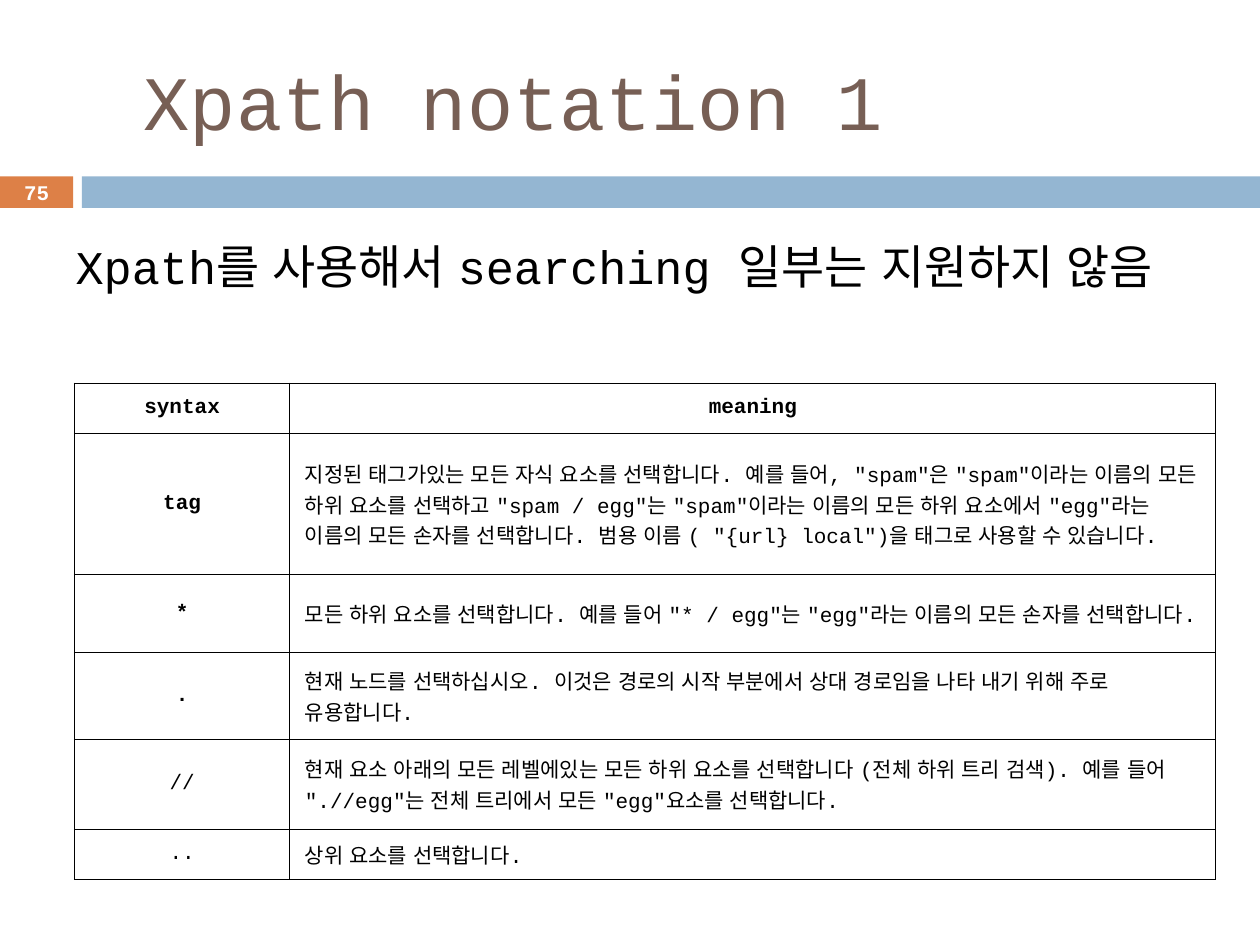
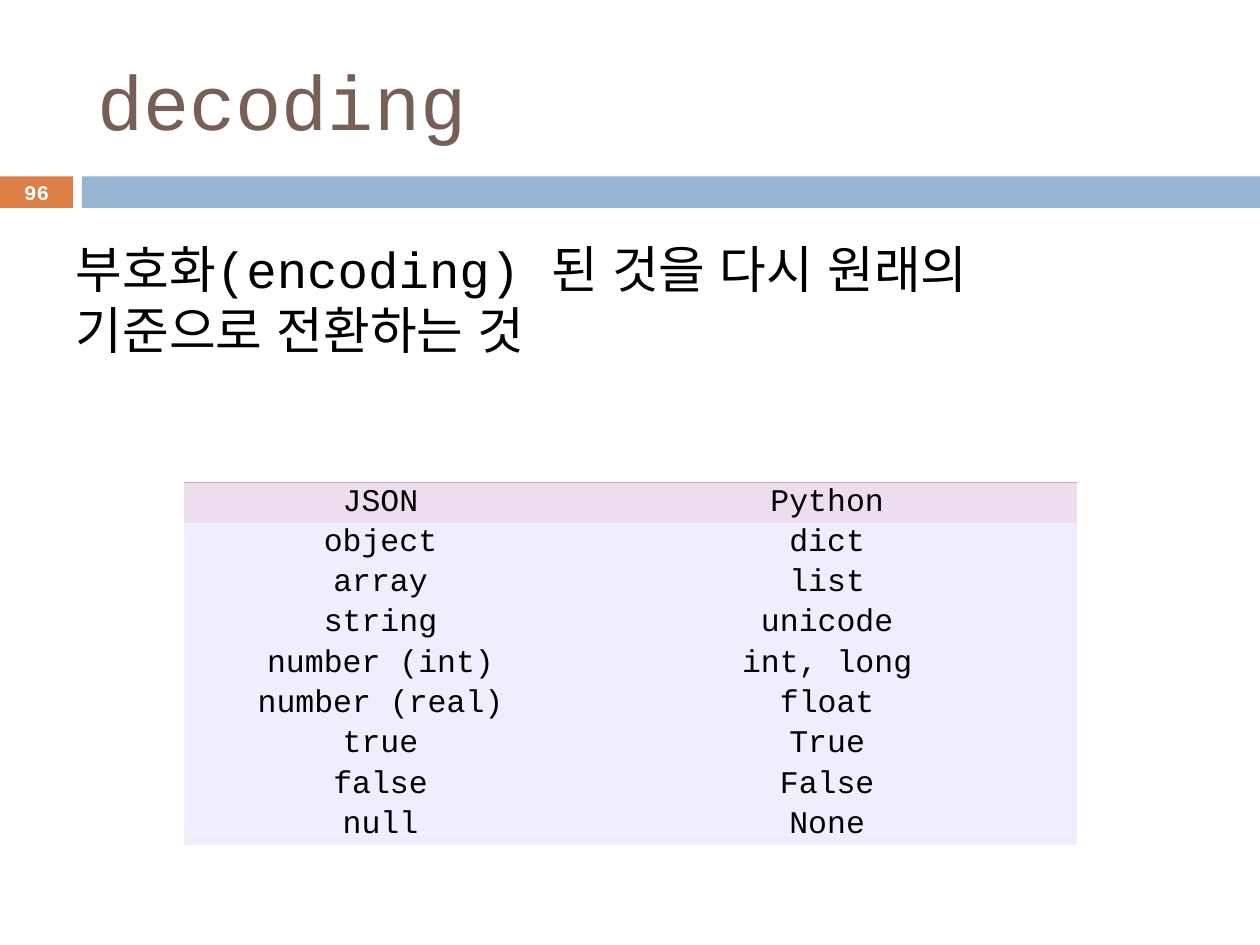
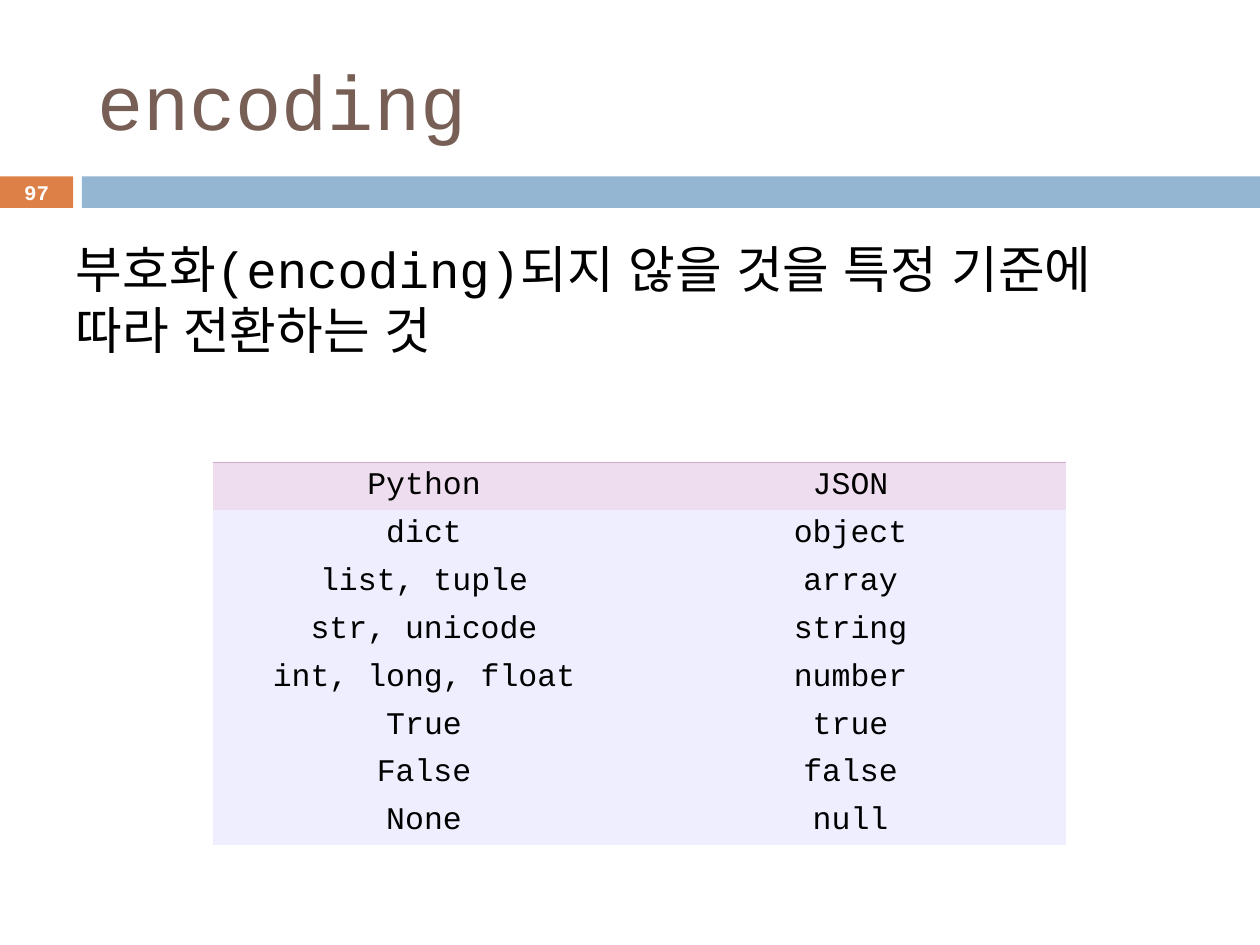
"""Build three slides on XPath syntax and JSON conversion."""
import pptx
import pptx.dml.color
import pptx.enum.lang
import pptx.enum.shapes
import pptx.enum.text
import pptx.oxml.ns
import pptx.util
from lxml import etree

Inches = pptx.util.Inches
Pt = pptx.util.Pt
RGBColor = pptx.dml.color.RGBColor
ALIGN = pptx.enum.text.PP_ALIGN
MIDDLE = pptx.enum.text.MSO_ANCHOR.MIDDLE

BROWN = RGBColor(0x77, 0x5F, 0x55)
ORANGE = RGBColor(0xDD, 0x80, 0x47)
BLUE = RGBColor(0x94, 0xB6, 0xD2)
BLACK = RGBColor(0, 0, 0)
WHITE = RGBColor(255, 255, 255)
PINK = RGBColor(0xEE, 0xDD, 0xEE)
MAUVE = RGBColor(0xCC, 0xAA, 0xCC)
LILAC = RGBColor(0xEE, 0xEE, 0xFF)
FONT = "Courier New"
PLAIN = "{2D5ABB26-0587-4C30-8999-92F81FD0307C}"
WIDE, HIGH = 10, 7.5
CHAR = 0.37
BANDS = [(0, 0.58, ORANGE), (0.65, WIDE - 0.65, BLUE)]

SYNTAX = [
    ("syntax", "meaning"),
    ("tag", '지정된 태그가있는 모든 자식 요소를 선택합니다. 예를 들어, "spam"은 "spam"이라는 이름의 '
            '모든 하위 요소를 선택하고 "spam / egg"는 "spam"이라는 이름의 모든 하위 요소에서 '
            '"egg"라는 이름의 모든 손자를 선택합니다. 범용 이름 ( "{url} local")을 태그로 사용할 수 있습니다.'),
    ("*", '모든 하위 요소를 선택합니다. 예를 들어 "* / egg"는 "egg"라는 이름의 모든 손자를 선택합니다.'),
    (".", "현재 노드를 선택하십시오. 이것은 경로의 시작 부분에서 상대 경로임을 나타 내기 위해 주로 유용합니다."),
    ("//", '현재 요소 아래의 모든 레벨에있는 모든 하위 요소를 선택합니다 (전체 하위 트리 검색). '
           '예를 들어 ".//egg"는 전체 트리에서 모든 "egg"요소를 선택합니다.'),
    ("..", "상위 요소를 선택합니다."),
]
DECODE = [
    ("JSON", "Python"), ("object", "dict"), ("array", "list"),
    ("string", "unicode"), ("number (int)", "int, long"),
    ("number (real)", "float"), ("true", "True"), ("false", "False"),
    ("null", "None"),
]
ENCODE = [
    ("Python", "JSON"), ("dict", "object"), ("list, tuple", "array"),
    ("str, unicode", "string"), ("int, long, float", "number"),
    ("True", "true"), ("False", "false"), ("None", "null"),
]
SLIDES = [
    dict(title="Xpath notation 1", inset=CHAR, page=75, size=26.8, tall=1.5,
         body="Xpath를 사용해서 searching 일부는 지원하지 않음",
         rows=SYNTAX, spot=(0.59, 3.04), cols=(1.71, 7.35),
         highs=(0.4, 1.12, 0.62, 0.69, 0.71, 0.4), grid=True),
    dict(title="decoding", inset=0, page=96, size=29, tall=1.57,
         body="부호화(encoding) 된 것을 다시 원래의 기준으로 전환하는 것",
         rows=DECODE, spot=(1.46, 3.83), cols=(3.12, 3.97),
         highs=(0.32,) * len(DECODE), grid=False),
    dict(title="encoding", inset=0, page=97, size=29, tall=1.57,
         body="부호화(encoding)되지 않을 것을 특정 기준에 따라 전환하는 것",
         rows=ENCODE, spot=(1.69, 3.67), cols=(3.35, 3.42),
         highs=(0.38,) * len(ENCODE), grid=False),
]


def place(shape, left, top, width, height):
    shape.left, shape.top = Inches(left), Inches(top)
    shape.width, shape.height = Inches(width), Inches(height)


def write(frame, text, size, color, align=ALIGN.LEFT, bold=False, inset=0):
    frame.text = text
    para = frame.paragraphs[0]
    props = para._p.get_or_add_pPr()
    props.set("marL", str(Inches(inset)))
    props.set("indent", "0")
    etree.SubElement(props, pptx.oxml.ns.qn("a:buNone"))
    para.alignment = align
    para.line_spacing = 1.0
    para.space_before = Pt(0)
    for run in para.runs:
        font = run.font
        font.name, font.size, font.bold = FONT, Pt(size), bold
        font.color.rgb = color
        font.language_id = pptx.enum.lang.MSO_LANGUAGE_ID.KOREAN


def edge(cell, sides, color):
    props = cell._tc.get_or_add_tcPr()
    for at, side in enumerate(sides):
        line = etree.Element(pptx.oxml.ns.qn("a:ln" + side), w=str(Pt(0.6)))
        fill = etree.SubElement(line, pptx.oxml.ns.qn("a:solidFill"))
        etree.SubElement(fill, pptx.oxml.ns.qn("a:srgbClr"), val=str(color))
        props.insert(at, line)


def style(cell, text, row, col, grid):
    prose = grid and row > 0 and col == 1
    side = 0.12 if prose else 0.03 if grid else 0.04
    cell.margin_left = cell.margin_right = Inches(side)
    cell.margin_top = cell.margin_bottom = Pt(1.2)
    cell.vertical_anchor = MIDDLE
    cell.fill.solid()
    cell.fill.fore_color.rgb = WHITE if grid else LILAC if row else PINK
    bold = grid and not prose and row < 4
    write(cell.text_frame, text, 12 if grid else 18, BLACK,
          ALIGN.LEFT if prose else ALIGN.CENTER, bold)
    if grid:
        edge(cell, "LRTB", BLACK)
    elif row == 0:
        edge(cell, "T", MAUVE)


def tabulate(slide, rows, spot, cols, highs, grid):
    sizes = (*spot, sum(cols), sum(highs))
    table = slide.shapes.add_table(len(rows), len(cols), *map(Inches, sizes)).table
    table.first_row = table.horz_banding = False
    table._tbl.tblPr.find(pptx.oxml.ns.qn("a:tableStyleId")).text = PLAIN
    for col, width in zip(table.columns, cols):
        col.width = Inches(width)
    for row, high in zip(table.rows, highs):
        row.height = Inches(high)
    for r, texts in enumerate(rows):
        for c, text in enumerate(texts):
            style(table.cell(r, c), text, r, c, grid)


def band(layout, slide):
    for left, width, color in BANDS:
        bar = slide.shapes.add_shape(
            pptx.enum.shapes.MSO_SHAPE.RECTANGLE,
            Inches(left), Inches(1.4), Inches(width), Inches(0.25))
        bar.shadow.inherit = False
        bar.fill.solid()
        bar.fill.fore_color.rgb = color
        bar.line.fill.background()
        layout.shapes._spTree.append(bar._element)


def build(slide, data):
    title, body = slide.placeholders
    place(title, 0.67, 0.25, 8.92, 1.08)
    title.text_frame.vertical_anchor = MIDDLE
    write(title.text_frame, data["title"], 44, BROWN, inset=data["inset"])
    place(body, 0.5, 1.78, 9, data["tall"])
    frame = body.text_frame
    frame.auto_size = pptx.enum.text.MSO_AUTO_SIZE.NONE
    frame.margin_top, frame.margin_right = Inches(0.11), Inches(0.25)
    write(frame, data["body"], data["size"], BLACK)
    tabulate(slide, *(data[key] for key in ("rows", "spot", "cols", "highs", "grid")))
    box = slide.shapes.add_textbox(0, Inches(1.39), Inches(0.58), Inches(0.27))
    frame = box.text_frame
    frame.word_wrap = True
    frame.vertical_anchor = MIDDLE
    frame.margin_left = frame.margin_right = 0
    frame.margin_top = frame.margin_bottom = 0
    write(frame, str(data["page"]), 11.9, WHITE, ALIGN.CENTER, True)


def main():
    deck = pptx.Presentation()
    deck.slide_width, deck.slide_height = Inches(WIDE), Inches(HIGH)
    layout = deck.slide_layouts[1]
    slides = [deck.slides.add_slide(layout) for _ in SLIDES]
    band(layout, slides[0])
    for slide, data in zip(slides, SLIDES):
        build(slide, data)
    deck.save("out.pptx")


if __name__ == "__main__":
    main()
